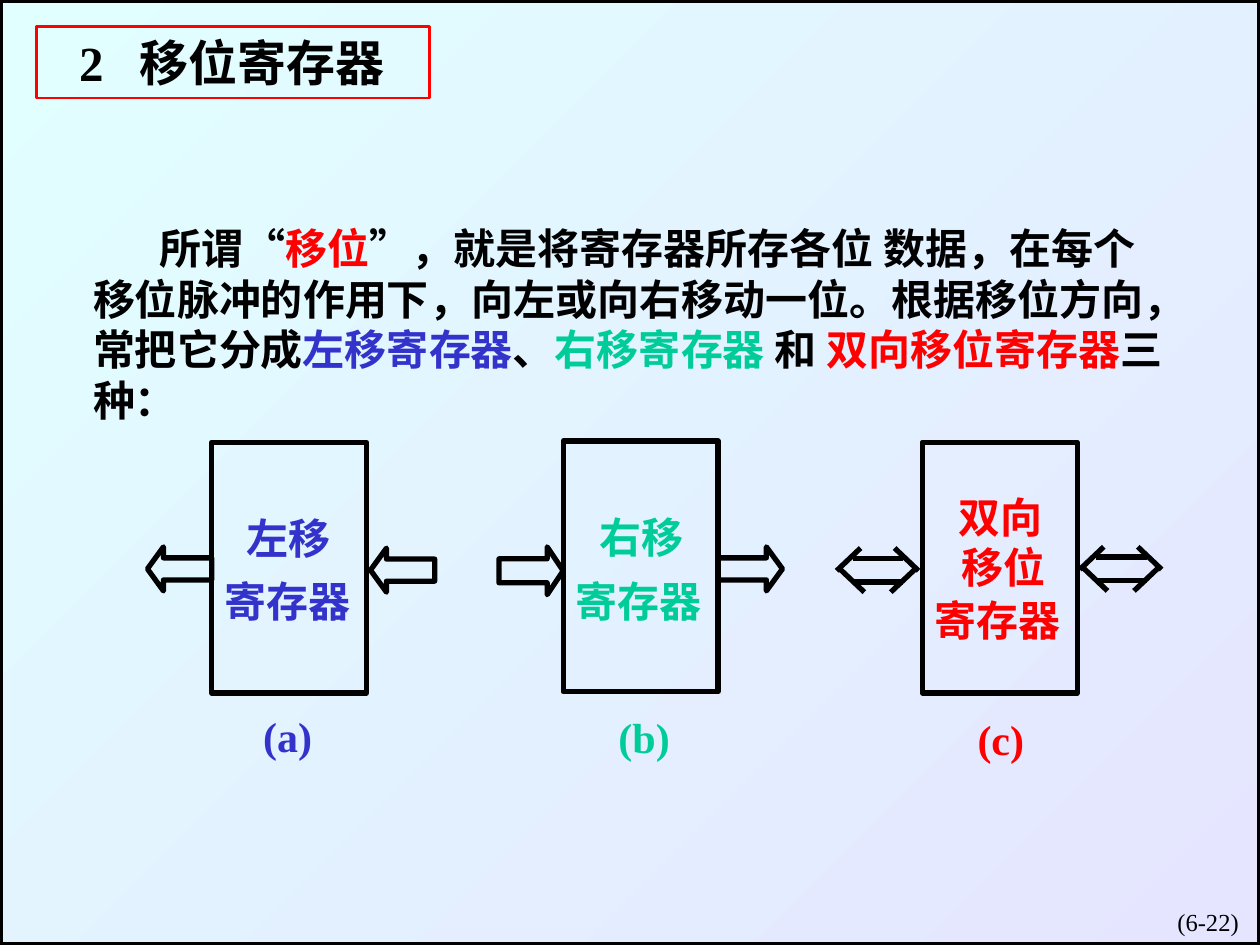
"""Build the slide that introduces the three kinds of shift register."""
import pptx
import pptx.dml.color
import pptx.enum.shapes
import pptx.enum.text
import pptx.oxml
import pptx.util

Inches = pptx.util.Inches
Shapes = pptx.enum.shapes.MSO_SHAPE
Align = pptx.enum.text.PP_ALIGN
BLACK, RED, BLUE, GREEN = "000000", "FF0000", "3333CC", "00CC99"


def colour(value):
    return pptx.dml.color.RGBColor.from_string(value)


class SlideBuilder:
    def __init__(self, page, font="Times New Roman", stroke=3):
        self.page = page
        self.font = font
        self.stroke = stroke

    def outline(self, item, value=BLACK, width=None):
        item.line.color.rgb = colour(value)
        item.line.width = pptx.util.Pt(width or self.stroke)

    def shape(self, kind, left, top, width, height, line=BLACK, stroke=None, adjust=()):
        item = self.page.shapes.add_shape(kind, *map(Inches, (left, top, width, height)))
        item.shadow.inherit = False
        item.fill.background()
        self.outline(item, line, stroke)
        for index, value in enumerate(adjust):
            item.adjustments[index] = value
        return item

    def backdrop(self, width, height, start, end):
        item = self.shape(Shapes.RECTANGLE, 0, 0, width, height)
        item.fill.gradient()
        item.fill.gradient_angle = 315
        for stop, value in zip(item.fill.gradient_stops, (start, end)):
            stop.color.rgb = colour(value)

    def text(self, left, top, width, height, spans, size=24, bold=True,
             align=Align.LEFT, margin=0, indent=0):
        box = self.page.shapes.add_textbox(*map(Inches, (left, top, width, height)))
        box.text_frame.word_wrap = True
        para = box.text_frame.paragraphs[0]
        para.alignment = align
        properties = para._p.get_or_add_pPr()
        properties.set("marL", str(Inches(margin)))
        properties.set("indent", str(Inches(indent)))
        style = {"name": self.font, "size": pptx.util.Pt(size), "bold": bold}
        for words, value in spans:
            span = para.add_run()
            span.text = words
            for key, setting in style.items():
                setattr(span.font, key, setting)
            span.font.color.rgb = colour(value)

    def line(self, start, end):
        item = self.page.shapes.add_connector(
            pptx.enum.shapes.MSO_CONNECTOR.STRAIGHT, *map(Inches, start + end))
        self.outline(item)
        item._element.spPr.append(pptx.oxml.parse_xml(
            '<a:effectLst xmlns:a="http://schemas.openxmlformats.org/drawingml/2006/main"/>'))

    def double_arrow(self, left, top):
        strokes = [(0.13, 0.08, 0.53, 0.08), (0.13, 0.27, 0.53, 0.27),
                   (0.46, 0, 0.65, 0.18), (0.03, 0.17, 0.22, 0.35),
                   (0.19, 0, 0, 0.18), (0.62, 0.17, 0.43, 0.35)]
        for x1, y1, x2, y2 in strokes:
            self.line((left + x1, top + y1), (left + x2, top + y2))

    def register(self, left, top, value, labels):
        self.shape(Shapes.RECTANGLE, left, top, 1.23, 1.99)
        for words, offset, label_top, width in labels:
            self.text(left + offset, label_top, width, 0.5, [(words, value)])


def main():
    deck = pptx.Presentation()
    deck.slide_width, deck.slide_height = Inches(10), Inches(7.5)
    builder = SlideBuilder(deck.slides.add_slide(deck.slide_layouts[6]))

    builder.backdrop(10, 7.5, "E1FFFF", "E5E5FF")
    builder.text(7.85, 7.15, 2.08, 0.5, [("(6-22)", BLACK)], size=14, bold=False,
                 align=Align.RIGHT)
    builder.shape(Shapes.RECTANGLE, 0.29, 0.21, 3.12, 0.57, line=RED, stroke=1.5)
    builder.text(0.29, 0.21, 3.12, 0.57, [("2\t移位寄存器", BLACK)], size=28,
                 margin=0.72, indent=-0.48)
    builder.text(0.64, 1.72, 8.7, 1.7, [
        ("所谓“", BLACK), ("移位", RED),
        ("”，就是将寄存器所存各位 数据，在每个移位脉冲的作用下，向左或向右移动一位。"
         "根据移位方向，常把它分成", BLACK),
        ("左移寄存器", BLUE), ("、", BLACK), ("右移寄存器 ", GREEN), ("和 ", BLACK),
        ("双向移位寄存器", RED), ("三种：", BLACK)], indent=0.53)

    for kind, left, top, height, head in [
            (Shapes.LEFT_ARROW, 1.17, 4.34, 0.35, 0.364),
            (Shapes.LEFT_ARROW, 2.94, 4.35, 0.35, 0.364),
            (Shapes.RIGHT_ARROW, 3.96, 4.34, 0.38, 0.334),
            (Shapes.RIGHT_ARROW, 5.7, 4.34, 0.35, 0.364)]:
        builder.shape(kind, left, top, 0.51, height, adjust=(0.5, head))
    builder.double_arrow(6.64, 4.35)
    builder.double_arrow(8.57, 4.34)

    builder.register(1.68, 3.51, BLUE, [
        ("左移", 0.18, 4.02, 1.04), ("寄存器", 0, 4.52, 1.28), ("(a)", 0.31, 5.59, 0.79)])
    builder.register(4.47, 3.5, GREEN, [
        ("右移", 0.19, 4.01, 1.04), ("寄存器", 0, 4.52, 1.28), ("(b)", 0.34, 5.6, 0.79)])
    builder.register(7.32, 3.51, RED, [
        ("双向", 0.19, 3.85, 1.04), ("移位", 0.21, 4.25, 0.98),
        ("寄存器", 0, 4.67, 1.28), ("(c)", 0.34, 5.61, 0.79)])
    deck.save("out.pptx")


if __name__ == "__main__":
    main()
